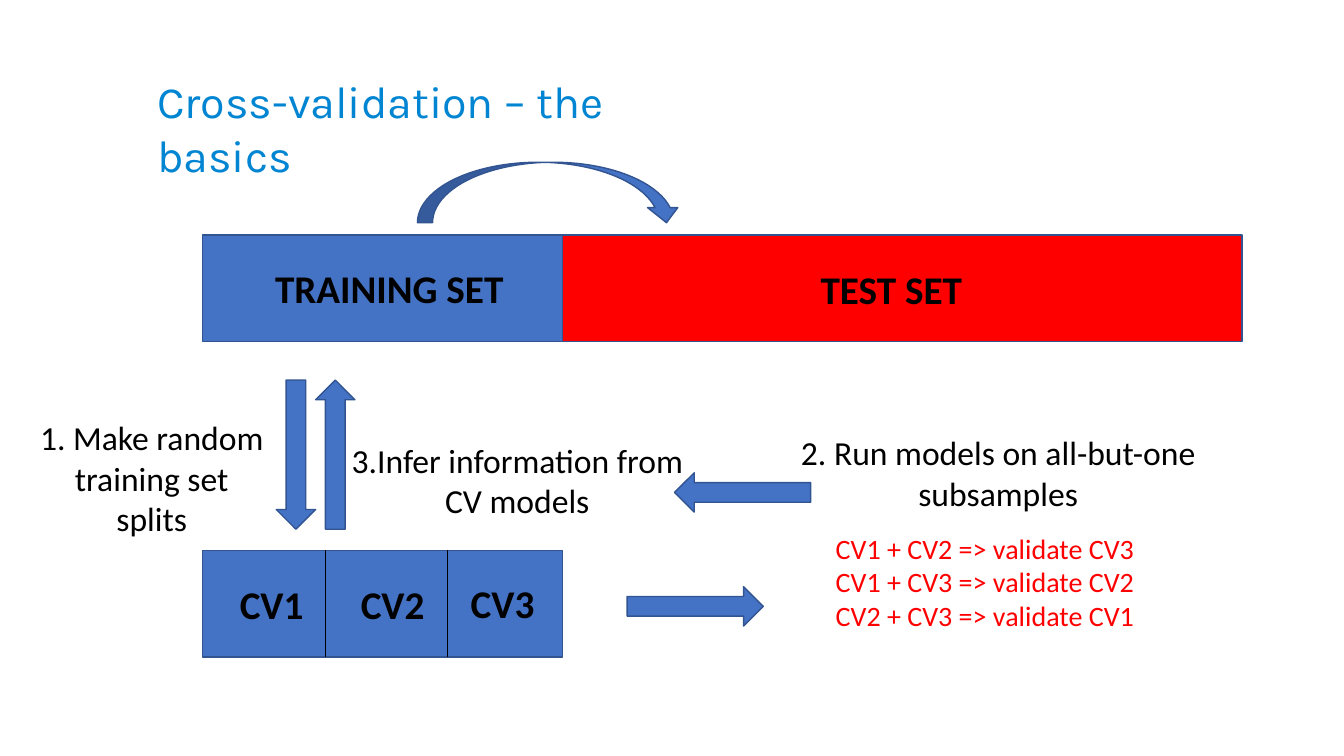
from dataclasses import dataclass

import pptx
import pptx.dml.color
import pptx.enum.shapes
import pptx.enum.text
import pptx.shapes.base
import pptx.slide
import pptx.text.text
import pptx.util
from lxml import etree

PX = 9144  # EMU per px, 100 px to the inch
KIND = pptx.enum.shapes.MSO_SHAPE
ALIGN = pptx.enum.text.PP_ALIGN
FIT = pptx.enum.text.MSO_AUTO_SIZE


@dataclass(frozen=True)
class Theme:
    blue: str = "4472C4"
    edge: str = "325491"
    red: str = "FF0000"
    black: str = "000000"
    title: str = "0085D2"
    body_font: str = "Calibri"
    title_font: str = "Karla"
    title_size: int = 32
    label_size: int = 28
    step_size: int = 24
    list_size: int = 20


THEME = Theme()


@dataclass(frozen=True)
class Box:
    left: int
    top: int
    width: int
    height: int


@dataclass(frozen=True)
class Block:
    kind: KIND
    box: Box
    fill: str = THEME.blue
    turn: int = 0


@dataclass(frozen=True)
class Label:
    text: str
    box: Box
    size: int = THEME.label_size
    color: str = THEME.black
    bold: bool = False
    wrap: bool = False


BAR_LEFT, BAR_WIDTH, BAR_HEIGHT = 201, 357, 106
SET_TOP, FOLD_TOP = 233, 546

BLOCKS = (
    Block(KIND.RECTANGLE, Box(BAR_LEFT, SET_TOP, BAR_WIDTH, BAR_HEIGHT)),
    Block(KIND.RECTANGLE, Box(BAR_LEFT + BAR_WIDTH, SET_TOP, 674, BAR_HEIGHT), THEME.red),
    Block(KIND.CURVED_DOWN_ARROW, Box(414, 161, 262, 60)),
    Block(KIND.DOWN_ARROW, Box(274, 377, 39, 148)),
    Block(KIND.DOWN_ARROW, Box(313, 377, 39, 148), turn=180),
    Block(KIND.DOWN_ARROW, Box(670, 534, 39, 135), turn=270),
    Block(KIND.DOWN_ARROW, Box(717, 421, 39, 135), turn=90),
    Block(KIND.RECTANGLE, Box(BAR_LEFT, FOLD_TOP, BAR_WIDTH, BAR_HEIGHT)),
)

FOLD_EDGES = (323, 444)

LABELS = (
    Label("TRAINING SET", Box(263, 257, 250, 57), bold=True),
    Label("TEST SET", Box(804, 258, 162, 57), bold=True),
    *(
        Label(f"CV{i}", Box(left, top, 84, 57), bold=True)
        for i, (left, top) in enumerate(((228, 571), (348, 571), (457, 570)), 1)
    ),
    Label("1. Make random training set splits", Box(29, 409, 243, 131),
          THEME.step_size, wrap=True),
    Label("3.Infer information from CV models", Box(337, 431, 352, 91),
          THEME.step_size, wrap=True),
    Label("2. Run models on all-but-one subsamples", Box(748, 424, 484, 91),
          THEME.step_size, wrap=True),
    Label("\n".join(f"CV{a} + CV{b} => validate CV{c}"
                    for a, b, c in ((1, 2, 3), (1, 3, 2), (2, 3, 1))),
          Box(819, 522, 319, 111), THEME.list_size, THEME.red),
)


def rgb(code: str) -> pptx.dml.color.RGBColor:
    return pptx.dml.color.RGBColor.from_string(code)


def place(shape: pptx.shapes.base.BaseShape, box: Box) -> None:
    shape.left, shape.top = box.left * PX, box.top * PX
    shape.width, shape.height = box.width * PX, box.height * PX


def style(para: pptx.text.text._Paragraph, face: str, size: int, color: str,
          bold: bool = False) -> None:
    font = para.font
    font.name, font.size, font.bold = face, pptx.util.Pt(size), bold
    font.color.rgb = rgb(color)


def add_title(slide: pptx.slide.Slide) -> None:
    title = slide.shapes.title
    place(title, Box(146, 68, 535, 64))
    frame = title.text_frame
    frame.text = "Cross-validation – the basics"
    frame.word_wrap = True
    frame.auto_size = FIT.NONE
    frame.vertical_anchor = pptx.enum.text.MSO_ANCHOR.TOP
    para = frame.paragraphs[0]
    para.alignment = ALIGN.LEFT
    style(para, THEME.title_font, THEME.title_size, THEME.title)


def add_block(slide: pptx.slide.Slide, block: Block) -> None:
    shape = slide.shapes.add_shape(block.kind, 0, 0, 0, 0)
    place(shape, block.box)
    shape.rotation = block.turn
    shape.shadow.inherit = False
    shape.fill.solid()
    shape.fill.fore_color.rgb = rgb(block.fill)
    shape.line.color.rgb = rgb(THEME.edge)
    shape.line.width = pptx.util.Pt(1)


def add_edge(slide: pptx.slide.Slide, left: int) -> None:
    """Draw an upright divider between two folds."""
    line = slide.shapes.add_connector(
        pptx.enum.shapes.MSO_CONNECTOR.STRAIGHT,
        left * PX, FOLD_TOP * PX, left * PX, (FOLD_TOP + BAR_HEIGHT) * PX)
    line.line.color.rgb = rgb(THEME.black)
    line.line.width = pptx.util.Pt(0.5)
    etree.SubElement(line._element.spPr, pptx.oxml.ns.qn("a:effectLst"))


def add_label(slide: pptx.slide.Slide, label: Label) -> None:
    shape = slide.shapes.add_textbox(0, 0, 0, 0)
    place(shape, label.box)
    frame = shape.text_frame
    frame.text = label.text
    frame.word_wrap = label.wrap
    frame.auto_size = FIT.SHAPE_TO_FIT_TEXT
    for para in frame.paragraphs:
        para.alignment = ALIGN.CENTER if label.wrap else ALIGN.LEFT
        style(para, THEME.body_font, label.size, label.color, label.bold)


def main() -> None:
    deck = pptx.Presentation()
    deck.slide_width, deck.slide_height = 1333 * PX, 750 * PX
    slide = deck.slides.add_slide(deck.slide_layouts.get_by_name("Title Only"))
    add_title(slide)
    for block in BLOCKS:
        add_block(slide, block)
    for left in FOLD_EDGES:
        add_edge(slide, left)
    for label in LABELS:
        add_label(slide, label)
    deck.save("out.pptx")


if __name__ == "__main__":
    main()
